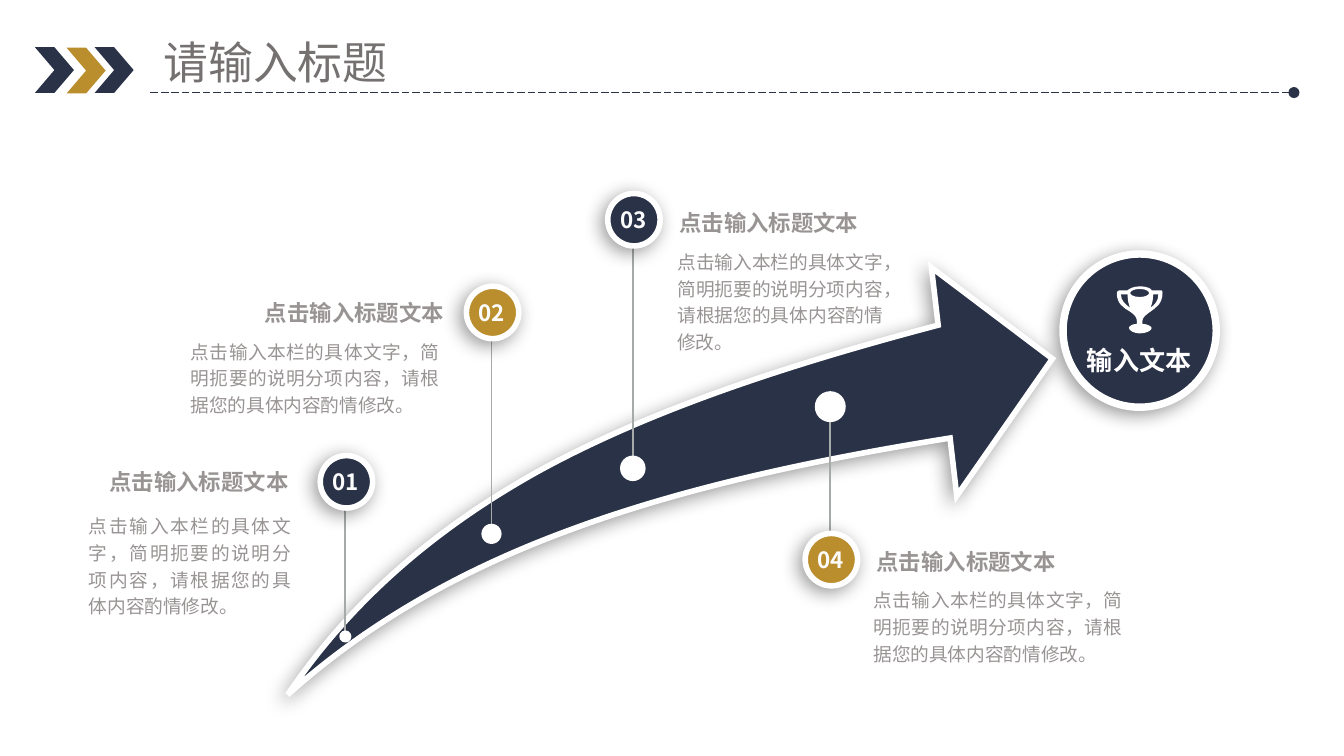
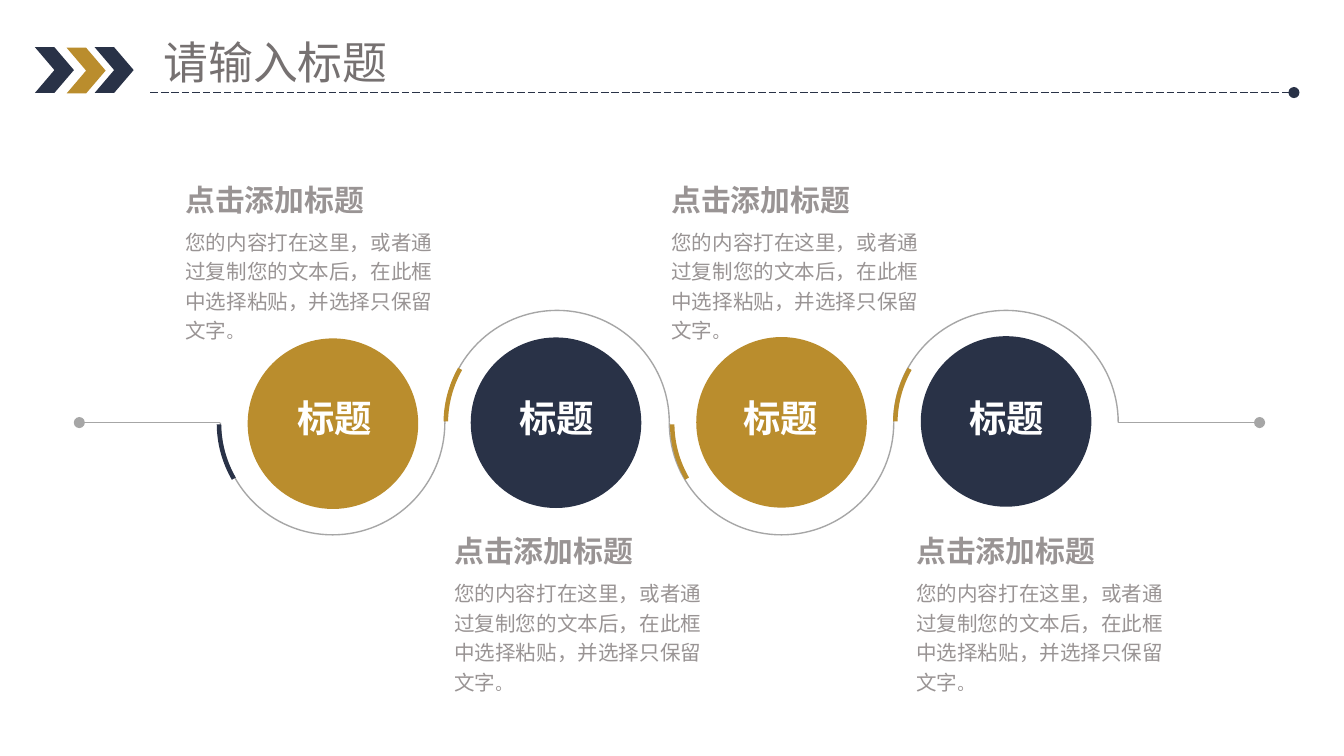
from dataclasses import dataclass

from lxml import etree
from pptx import Presentation
from pptx.dml.color import RGBColor
from pptx.enum import dml, shapes, text
from pptx.oxml import ns
from pptx.util import Pt


@dataclass(frozen=True)
class Theme:
    font: str = "Noto Sans CJK SC"
    navy: str = "293247"
    gold: str = "BA8D2D"
    white: str = "FFFFFF"
    number: str = "FCFCFC"
    grey: str = "999494"
    title_grey: str = "767171"
    pin_grey: str = "A6AAA9"
    wave_grey: str = "A6A6A6"
    title: int = 24
    disc_label: int = 20
    card_head: int = 16
    goal: int = 14
    pin_head: int = 12
    card_body: int = 11
    pin_body: int = 10
    full_stop: int = 9


theme = Theme()
kind = shapes.MSO_SHAPE
LEFT, CENTER = text.PP_ALIGN.LEFT, text.PP_ALIGN.CENTER
RIGHT, JUSTIFY = text.PP_ALIGN.RIGHT, text.PP_ALIGN.JUSTIFY
TOP, MIDDLE = text.MSO_ANCHOR.TOP, text.MSO_ANCHOR.MIDDLE


def style(item, fill=None, line=None, width=1, shadow=False, miter=False,
          dash=None, end=None):
    """Set fill, line and shadow of a shape or connector."""
    if fill:
        item.fill.solid()
        item.fill.fore_color.rgb = RGBColor.from_string(fill)
    elif hasattr(item, "fill"):
        item.fill.background()
    if line:
        item.line.color.rgb = RGBColor.from_string(line)
        item.line.width = Pt(width)
    else:
        item.line.fill.background()
    if dash:
        item.line.dash_style = dash
    properties = item._element.spPr
    outline = properties.find(ns.qn("a:ln"))
    if miter:
        etree.SubElement(outline, ns.qn("a:miter"), lim="800000")
    if end:
        etree.SubElement(outline, ns.qn(end), type="oval")
    effects = etree.SubElement(properties, ns.qn("a:effectLst"))
    if shadow:
        outer = etree.SubElement(
            effects, ns.qn("a:outerShdw"), blurRad=str(Pt(10)), dist=str(Pt(3)),
            dir=str(135 * 60000), algn="tr", rotWithShape="0")
        black = etree.SubElement(outer, ns.qn("a:srgbClr"), val="000000")
        etree.SubElement(black, ns.qn("a:alpha"), val="40000")


def write(box, words, size, color, bold=False, align=LEFT, anchor=TOP,
          inset=(0, 0), spacing=None, wrap=True):
    """Fill a box with one formatted paragraph and return the paragraph."""
    frame = box.text_frame
    frame.word_wrap = wrap
    frame.auto_size = text.MSO_AUTO_SIZE.NONE
    frame.vertical_anchor = anchor
    frame.margin_left = frame.margin_right = Pt(inset[0])
    frame.margin_top = frame.margin_bottom = Pt(inset[1])
    para = frame.paragraphs[0]
    para.add_run().text = words
    para.alignment = align
    if spacing:
        para.line_spacing = spacing
    font = para.font
    font.size, font.bold, font.name = Pt(size), bold, theme.font
    font.color.rgb = RGBColor.from_string(color)
    etree.SubElement(font._rPr, ns.qn("a:ea"), typeface=theme.font)
    return para


deck = Presentation()
deck.slide_width, deck.slide_height = Pt(720), Pt(405)

# Shared header: chevrons, dashed rule, title
pages = []
for _ in range(2):
    page = deck.slides.add_slide(deck.slide_layouts[5])
    pages.append(page)
    for left, top, color in ((35.7, 25.6, theme.gold), (50.7, 25.3, theme.navy),
                             (18.7, 25.3, theme.navy)):
        chevron = page.shapes.add_shape(
            kind.CHEVRON, Pt(left), Pt(top), Pt(20.9), Pt(24.5))
        style(chevron, color)
    rule = page.shapes.add_connector(
        shapes.MSO_CONNECTOR.STRAIGHT, Pt(80.6), Pt(49.6), Pt(693.2), Pt(49.6))
    style(rule, line=theme.navy, width=0.5, dash=dml.MSO_LINE.LONG_DASH,
          end="a:tailEnd")
    title = page.shapes.title
    title.left, title.top, title.width, title.height = Pt(80.4), Pt(15.1), Pt(134.6), Pt(36)
    write(title, "请输入标题", theme.title, theme.title_grey, inset=(7.2, 3.6), wrap=False)

growth, wave = pages

# Slide 1: goal disc
goal = growth.shapes.add_shape(kind.OVAL, Pt(569.5), Pt(136.1), Pt(82.1), Pt(82.1))
style(goal, theme.navy, theme.white, 4, shadow=True)
goal_label = growth.shapes.add_textbox(Pt(580.1), Pt(181.8), Pt(60.5), Pt(24.5))
write(goal_label, "输入文本", theme.goal, theme.white, True, CENTER, MIDDLE, spacing=0.9)

# Outlines; two numbers are a corner, six are a cubic curve
arrow = [
    [(154.1, 372.2), (187.2, 323.3, 231.1, 284.4, 288, 252.7),
     (345.6, 221, 417.6, 196.6, 502.6, 174.2), (499, 143.3), (563.8, 192.2),
     (512.6, 265.7), (509, 234.7), (432, 247, 364.3, 262.1, 306, 283.7),
     (247, 305.3, 196.6, 334.1, 154.1, 372.2)],
]
trophy = [
    # Left handle opening
    [(600.5, 157.7), (604.1, 157.7), (604.1, 161.3, 604.8, 163.4, 605.5, 164.9),
     (603.4, 163.4, 600.5, 161.3, 600.5, 157.7)],
    # Bowl opening
    [(610.6, 154.8), (614.2, 154.8, 615.6, 156.2, 615.6, 157),
     (615.6, 157.7, 614.2, 159.1, 610.6, 159.1),
     (607, 159.1, 605.5, 157.7, 605.5, 157),
     (605.5, 156.2, 607, 154.8, 610.6, 154.8)],
    # Right handle opening
    [(616.3, 164.9), (617, 163.4, 617.8, 161.3, 617.8, 157.7), (620.6, 157.7),
     (620.6, 161.3, 618.5, 163.4, 616.3, 164.9)],
    # Cup and foot
    [(612, 172.1), (612, 169.9, 614.2, 168.5, 616.3, 167),
     (619.2, 164.9, 622.8, 162.7, 622.8, 157),
     (622.8, 156.2, 622.8, 155.5, 622.1, 155.5), (617, 155.5),
     (617, 154.8, 614.9, 153.4, 610.6, 153.4),
     (607, 153.4, 604.8, 154.8, 604.1, 155.5), (599.8, 155.5),
     (599, 155.5, 598.3, 156.2, 598.3, 157),
     (598.3, 162.7, 601.9, 164.9, 605.5, 167),
     (607.7, 168.5, 609.1, 169.9, 609.1, 172.1), (609.1, 173.5),
     (606.2, 173.5, 604.8, 175, 604.8, 175.7),
     (604.8, 177.1, 607.7, 178.6, 610.6, 178.6),
     (614.2, 178.6, 617, 177.1, 617, 175.7),
     (617, 175, 614.9, 173.5, 612, 173.5)],
]
drawings = [(growth, arrow, True, (theme.navy, theme.white, 3, True, True)),
            (growth, trophy, True, (theme.white,))]

# Slide 2: half circles that swing below and above the axis in turn
AXIS, RADIUS, PULL = 226.4, 60.12, 33.2
for index in range(4):
    middle = 118.1 + RADIUS * (2 * index + 1)
    swing = -1 if index % 2 else 1
    crest, bend = AXIS + swing * RADIUS, AXIS + swing * PULL
    half = [(middle + RADIUS, AXIS),
            (middle + RADIUS, bend, middle + PULL, crest, middle, crest),
            (middle - PULL, crest, middle - RADIUS, bend, middle - RADIUS, AXIS)]
    drawings.append((wave, [half], False, (None, theme.wave_grey, 0.75)))

for page, outline, closed, look in drawings:
    x, y = outline[0][0]
    builder = page.shapes.build_freeform(Pt(x), Pt(y))
    for index, (start, *segments) in enumerate(outline):
        if index:
            builder.move_to(Pt(start[0]), Pt(start[1]))
        builder.add_line_segments([(Pt(s[-2]), Pt(s[-1])) for s in segments], close=closed)
    shape = builder.convert_to_shape()
    # Turn the straight steps of curved segments into cubic curves
    steps = list(shape._element.iter(ns.qn("a:lnTo")))
    curves = [segment for _, *segments in outline for segment in segments]
    for step, segment in zip(steps, curves):
        if len(segment) == 6:
            step.tag = ns.qn("a:cubicBezTo")
            for place in (0, 1):
                handle = etree.Element(
                    ns.qn("a:pt"), x=str(Pt(segment[2 * place]) - shape.left),
                    y=str(Pt(segment[2 * place + 1]) - shape.top))
                step.insert(place, handle)
    style(shape, *look)

# Slide 1: pins (stem x, disc y, dot y and size, colour, then the text places)
pins = [
    (185, 258.1, 341, 6.5, theme.navy, RIGHT, (5, 3), 246.5, 36.5, 123.1, 42.7, 118.1),
    (263.3, 167.4, 286, 10.8, theme.gold, RIGHT, (0, 0), 156.2, 104.7, 133.2, 102.2, 133.2),
    (339, 117.7, 250.9, 13.7, theme.navy, LEFT, (0, 0), 108, 363.9, 109.4, 362.9, 110.2),
    (444.8, 299.8, 217.9, 16.6, theme.gold, LEFT, (0, 0), 289.4, 469.6, 109.4, 468, 133.2),
]
DISC = 28.1
for number, pin in enumerate(pins, 1):
    (x, disc_y, dot_y, dot_size, color, align, inset,
     head_top, head_left, head_width, body_left, body_width) = pin
    disc_x = x + 0.6
    stem = growth.shapes.add_connector(
        shapes.MSO_CONNECTOR.STRAIGHT, Pt(x), Pt(dot_y), Pt(x), Pt(disc_y))
    style(stem, line=theme.pin_grey)
    disc = growth.shapes.add_shape(
        kind.OVAL, Pt(disc_x - DISC / 2), Pt(disc_y - DISC / 2), Pt(DISC), Pt(DISC))
    style(disc, color, theme.white, 3, shadow=True)
    dot = growth.shapes.add_shape(
        kind.OVAL, Pt(x - dot_size / 2), Pt(dot_y - dot_size / 2), Pt(dot_size), Pt(dot_size))
    style(dot, theme.white)
    label = growth.shapes.add_textbox(Pt(x - 7.3), Pt(disc_y - 9), Pt(15.1), Pt(18))
    write(label, f"{number:02}", theme.pin_head, theme.number, True, CENTER, MIDDLE,
          spacing=Pt(14))
    head = growth.shapes.add_textbox(Pt(head_left), Pt(head_top), Pt(head_width), Pt(24.5))
    write(head, "点击输入标题文本", theme.pin_head, theme.grey, True, align, MIDDLE,
          inset, 0.9)
    body = growth.shapes.add_textbox(
        Pt(body_left), Pt(head_top + 23.8), Pt(body_width), Pt(36.7))
    write(body, "点击输入本栏的具体文字，简明扼要的说明分项内容，请根据您的具体内容酌情修改。",
          theme.pin_body, theme.grey, align=JUSTIFY, inset=inset, spacing=1.2)

# Slide 2: line ends of the wave
for start, stop, end in ((599, 674.8, "a:tailEnd"), (42.5, 118.1, "a:headEnd")):
    tail = wave.shapes.add_connector(
        shapes.MSO_CONNECTOR.STRAIGHT, Pt(start), Pt(AXIS), Pt(stop), Pt(AXIS))
    style(tail, line=theme.wave_grey, width=0.75, end=end)

# Slide 2: stations (accent left and colour, disc left, top and colour, text lefts)
stations = [
    (116.1, theme.navy, 132.7, 181.3, theme.gold, 152.3, 92.2),
    (237.6, theme.gold, 252.2, 180.8, theme.navy, 271.2, 236.3),
    (358.9, theme.gold, 373, 180.6, theme.gold, 391.3, 352.6),
    (478.4, theme.gold, 493.3, 180.1, theme.navy, 512.2, 483.8),
]
for index, station in enumerate(stations):
    (accent_left, accent_color, disc_left, disc_top, disc_color,
     label_left, card_left) = station
    dips = index % 2 == 0
    accent = wave.shapes.add_shape(
        kind.BLOCK_ARC, Pt(accent_left), Pt(166.3), Pt(121), Pt(121))
    for place, value in enumerate((108 if dips else 108.62, 125.7, 0.02)):
        accent.adjustments[place] = value
    accent.rotation = 330 if dips else 0
    style(accent, accent_color)
    disc = wave.shapes.add_shape(
        kind.OVAL, Pt(disc_left), Pt(disc_top), Pt(91.4), Pt(91.4))
    style(disc, disc_color)
    label = wave.shapes.add_textbox(Pt(label_left), Pt(208.1), Pt(55.4), Pt(31.7))
    write(label, "标题", theme.disc_label, theme.white, True, inset=(7.2, 3.6))

    card_top = 93.6 if dips else 281.9
    body = wave.shapes.add_textbox(Pt(card_left), Pt(card_top + 23.2), Pt(153.4), Pt(71.3))
    para = write(body, "您的内容打在这里，或者通过复制您的文本后，在此框中选择粘贴，并选择只保留文字",
                 theme.card_body, theme.grey, inset=(7.2, 3.6), spacing=1.2)
    span = para.add_run()
    span.text = "。"
    span.font.size = Pt(theme.full_stop)
    head = wave.shapes.add_textbox(Pt(card_left), Pt(card_top), Pt(128.2), Pt(26.6))
    write(head, "点击添加标题", theme.card_head, theme.grey, True, inset=(7.2, 3.6))

deck.save("out.pptx")
